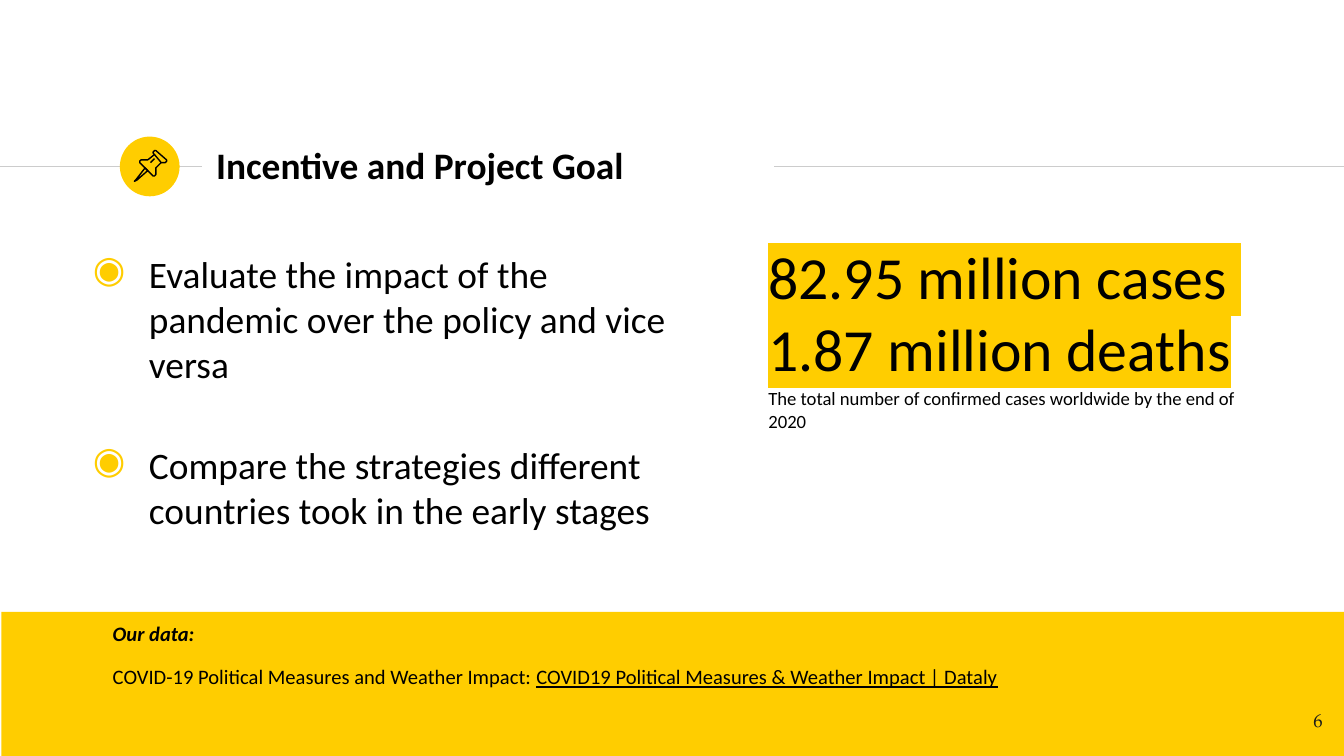
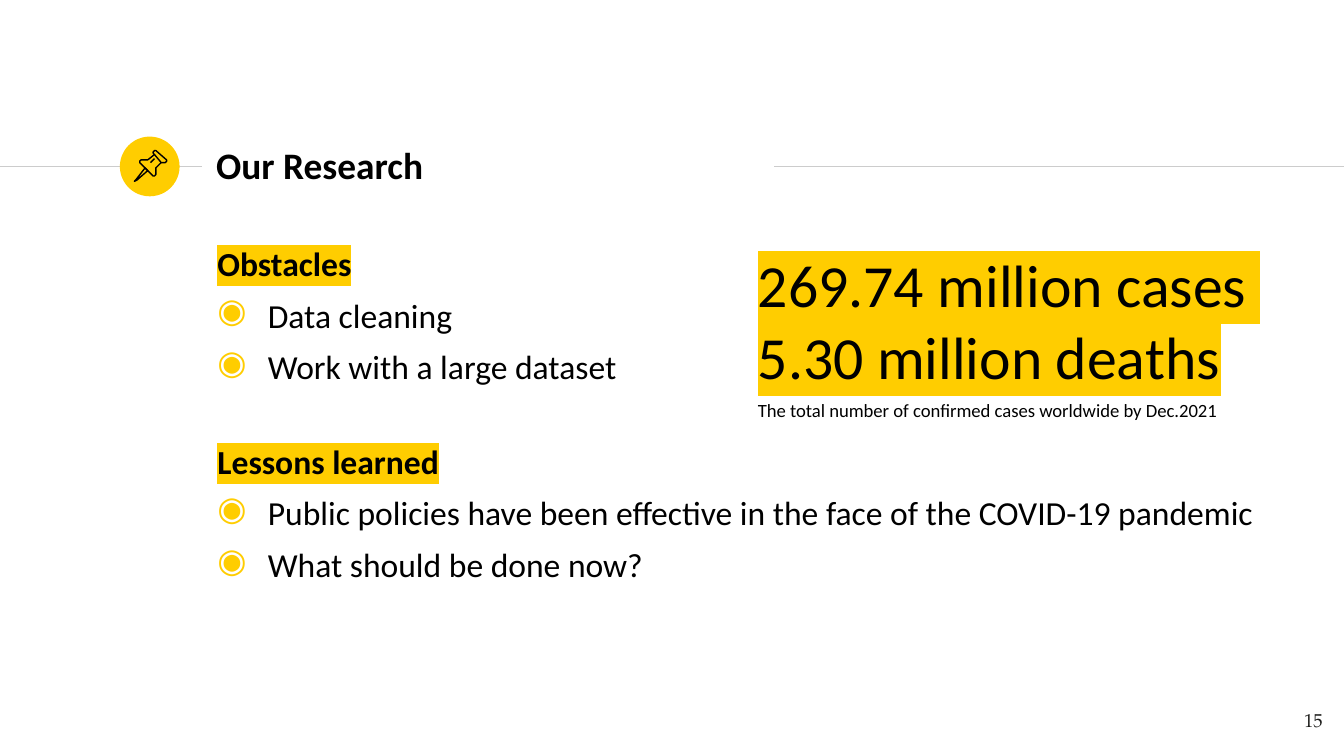
import pptx
import pptx.util
import pptx.dml.color
import pptx.enum.shapes
import pptx.enum.text
import pptx.oxml
import pptx.oxml.ns
import lxml.etree

Pt = pptx.util.Pt
RGBColor = pptx.dml.color.RGBColor
qn = pptx.oxml.ns.qn
MIDDLE = pptx.enum.text.MSO_ANCHOR.MIDDLE
TOP = pptx.enum.text.MSO_ANCHOR.TOP

YELLOW = RGBColor(0xFF, 0xCD, 0x00)
GREY = RGBColor(0xCC, 0xCC, 0xCC)
BLACK = RGBColor(0x00, 0x00, 0x00)
INK = RGBColor(0x1D, 0x1D, 0x1B)

PIN_PARTS = [
    ([(108, 125), (101, 134), (100, 135), (102, 134), (110, 127)], True),
    ([(115, 115), (120, 121), (121, 121), (123, 121), (124, 120), (124, 119),
      (116, 112), (115, 112), (114, 113), (114, 114)], True),
    ([(115, 115), (110, 119), (108, 119), (105, 119), (104, 120), (104, 121),
      (114, 131), (115, 131), (116, 130), (116, 128), (116, 125), (120, 121)], False),
    ([(112, 121), (115, 118)], False),
]


def style_run(r, size, bold=False, highlight=False, font="Calibri", color=BLACK):
    r.font.size = Pt(size)
    r.font.name = font
    r.font.bold = bold
    r.font.color.rgb = color
    if highlight:
        hl = pptx.oxml.parse_xml(
            '<a:highlight xmlns:a="http://schemas.openxmlformats.org/drawingml/2006/main">'
            f'<a:srgbClr val="{YELLOW}"/></a:highlight>')
        r.font._element.find(qn("a:solidFill")).addnext(hl)


def add_text(s, box, texts, size, before=0, anchor=TOP, bullets=None, **style):
    tf = s.shapes.add_textbox(*[Pt(v) for v in box]).text_frame
    tf.word_wrap = True
    tf.vertical_anchor = anchor
    tf.margin_left = tf.margin_right = tf.margin_top = tf.margin_bottom = Pt(7.2)
    tf.text = "\n".join(texts)
    for i, p in enumerate(tf.paragraphs):
        p.space_before = Pt(before)
        heading = bullets and i < bullets[0]
        flags = {"bold": True, "highlight": True} if heading else style
        style_run(p.runs[0], size, **flags)
        if bullets and not heading:
            pPr = p._p.get_or_add_pPr()
            pPr.set("marL", str(Pt(bullets[1])))
            pPr.set("indent", str(-Pt(bullets[2])))
            clr = lxml.etree.SubElement(pPr, qn("a:buClr"))
            lxml.etree.SubElement(clr, qn("a:srgbClr"), val=str(YELLOW))
            lxml.etree.SubElement(pPr, qn("a:buChar"), char="◉")
    return tf


prs = pptx.Presentation()
prs.slide_width, prs.slide_height = Pt(720), Pt(405)

for title in ["Incentive and Project Goal", "Our Research"]:
    s = prs.slides.add_slide(prs.slide_layouts[6])
    for x1, x2 in [(0, 108), (414.72, 720)]:
        line = s.shapes.add_connector(
            pptx.enum.shapes.MSO_CONNECTOR.STRAIGHT, Pt(x1), Pt(89.2), Pt(x2), Pt(89.2))
        line.line.color.rgb = GREY
        line.line.width = Pt(0.75)
        lxml.etree.SubElement(line._element.spPr, qn("a:effectLst"))
    sp = s.shapes.add_shape(
        pptx.enum.shapes.MSO_SHAPE.OVAL, Pt(64.2), Pt(73.2), Pt(32), Pt(32))
    sp.shadow.inherit = False
    sp.fill.solid()
    sp.fill.fore_color.rgb = YELLOW
    sp.line.fill.background()
    add_text(s, (108.7, 70.6, 305.3, 34.6), [title], 20, anchor=MIDDLE, bold=True)
    pin = s.shapes.add_group_shape()
    for points, closed in PIN_PARTS:
        fb = pin.shapes.build_freeform(*points[0], scale=Pt(0.72))
        fb.add_line_segments(points[1:], close=closed)
        sp = fb.convert_to_shape()
        sp.shadow.inherit = False
        sp.fill.background()
        sp.line.color.rgb = BLACK
        sp.line.width = Pt(0.75)

goal, research = prs.slides

band = goal.shapes.add_shape(
    pptx.enum.shapes.MSO_SHAPE.RECTANGLE, Pt(0.7), Pt(327.8), Pt(719.3), Pt(77.2))
band.shadow.inherit = False
band.fill.solid()
band.fill.fore_color.rgb = YELLOW
band.line.fill.background()
tf = add_text(goal, (53.3, 325.4, 617.8, 64.8),
              ["Our data:", "COVID-19 Political Measures and Weather Impact: "], 11, before=10)
tf.paragraphs[0].runs[0].font.bold = True
tf.paragraphs[0].runs[0].font.italic = True
r = tf.paragraphs[1].add_run()
r.text = "COVID19 Political Measures & Weather Impact | Dataly"
style_run(r, 11)
r.font.underline = True
tf = add_text(goal, (36.7, 127.4, 339.8, 246.2),
              ["Evaluate the impact of the pandemic over the policy and vice versa",
               "Compare the strategies different countries took in the early stages"],
              20, before=6, bullets=(0, 36, 30))
tf.paragraphs[1].space_before = Pt(30.4)

add_text(research, (109.4, 123.1, 261.4, 254.2),
         ["Obstacles", "Data cleaning", "Work with a large dataset"],
         18, before=6, bullets=(1, 27, 27))
add_text(research, (109.4, 229, 569.5, 254.2),
         ["Lessons learned",
          "Public policies have been effective in the face of the COVID-19 pandemic",
          "What should be done now?"],
         18, before=6, bullets=(1, 27, 27))

for s, number, x, y, caption_y, figures, caption in [
    (goal, "6", 404.6, 118.1, 200.2, ["82.95 million cases ", "1.87 million deaths"],
     "The total number of confirmed cases worldwide by the end of 2020"),
    (research, "15", 398.9, 122.4, 207.4, ["269.74 million cases ", "5.30 million deaths"],
     "The total number of confirmed cases worldwide by Dec.2021"),
]:
    tf = add_text(s, (672.5, 373.7, 43.2, 31), [number], 10,
                  font="TeX Gyre Pagella", color=INK)
    tf.paragraphs[0].alignment = pptx.enum.text.PP_ALIGN.RIGHT
    add_text(s, (x, y, 291, 97.9), figures, 32, anchor=MIDDLE, highlight=True)
    add_text(s, (x, caption_y, 280.8, 32.4), [caption], 10, before=6)

prs.save("out.pptx")
